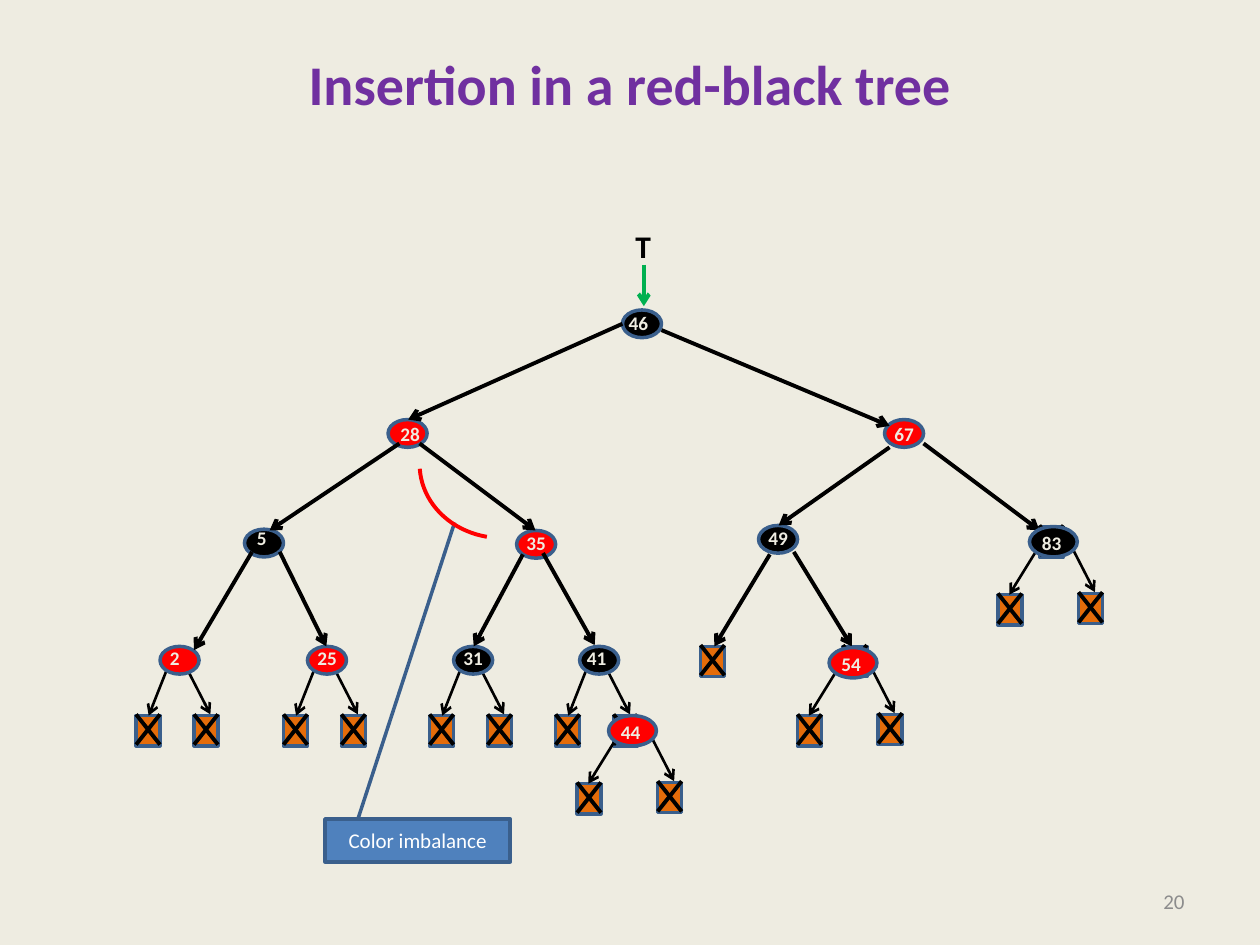
from lxml.etree import SubElement
from pptx import Presentation
from pptx.dml.color import RGBColor
from pptx.enum.shapes import MSO_CONNECTOR as Connector, MSO_SHAPE as Shape
from pptx.enum.text import MSO_ANCHOR as Anchor, MSO_AUTO_SIZE as AutoSize, PP_ALIGN as Align
from pptx.oxml.ns import qn
from pptx.util import Inches, Pt

COLORS = {
    "background": "EEECE1", "title": "7030A0", "number": "8C8C8C",
    "black": "000000", "red": "FF0000", "leaf": "E46C0A", "outline": "3A5F8C",
    "label": "EEECE1", "pointer": "00B050", "callout": "4F81BD", "white": "FFFFFF",
}
SMALL, LARGE, LEAF = (0.31, 0.22), (0.38, 0.24), (0.19, 0.24)

NODES = [
    ("46", "black", 3.94, 0.96, -0.05, -0.04),
    ("67", "red", 6.02, 1.83, -0.02, -0.03),
    ("5", "black", 0.94, 2.70, 0, -0.07),
    ("49", "black", 5.02, 2.67, -0.02, -0.04),
    ("35", "red", 3.10, 2.71, -0.02, -0.04),
    ("28", "red", 2.08, 1.83, 0, -0.03),
    ("2", "red", 0.27, 3.63, -0.02, -0.05),
    ("25", "red", 1.44, 3.63, -0.02, -0.05),
    ("31", "black", 2.60, 3.63, -0.02, -0.05),
    ("41", "black", 3.60, 3.63, -0.04, -0.05),
]
EDGES = [
    (3.94, 1.07, 2.24, 1.83), (2.17, 2.02, 1.14, 2.71),
    (3.15, 2.90, 2.76, 3.63), (1.00, 2.88, 0.54, 3.66),
    (5.11, 2.90, 4.67, 3.63), (6.06, 2.05, 5.18, 2.67),
    (2.33, 2.02, 3.25, 2.71), (6.33, 2.02, 7.25, 2.71),
    (1.22, 2.88, 1.59, 3.63), (3.31, 2.89, 3.72, 3.62),
    (5.30, 2.88, 5.76, 3.63), (4.25, 1.12, 6.06, 1.88),
]
LARGE_NODES = [
    ("83", "black", 7.17, 2.68),
    ("54", "red", 5.58, 3.64),
    ("44", "red", 3.83, 4.18),
]
SINGLE_LEAVES = [(4.56, 3.63), (5.69, 3.63), (7.25, 2.68)]
SMALL_ARMS = [
    ((-0.19, 0.55), (0.06, 0.17, -0.09, 0.55)),
    ((0.27, 0.55), (0.21, 0.17, 0.40, 0.54)),
]
LARGE_ARMS = [
    ((-0.25, 0.54), (0.05, 0.20, -0.16, 0.54)),
    ((0.39, 0.53), (0.33, 0.15, 0.52, 0.52)),
]


def rgb(name):
    return RGBColor.from_string(COLORS[name])


def set_values(target, values):
    for name, value in values.items():
        setattr(target, name, value)


def write(frame, text, size, color, bold=False, align=Align.LEFT, **frame_values):
    set_values(frame, {"word_wrap": True, **frame_values})
    para = frame.paragraphs[0]
    para.alignment = align
    span = para.add_run()
    span.text = text
    set_values(span.font, {"name": "Calibri", "size": Pt(size), "bold": bold})
    span.font.color.rgb = rgb(color)


def add_text(shapes, box, text, size, color, **values):
    label = shapes.add_textbox(*map(Inches, box))
    write(label.text_frame, text, size, color, **values)


def set_line(line, color, width):
    line.color.rgb = rgb(color)
    line.width = Pt(width)


def add_shape(shapes, kind, box, fill):
    shape = shapes.add_shape(kind, *map(Inches, box))
    shape.shadow.inherit = False
    shape.fill.solid()
    shape.fill.fore_color.rgb = rgb(fill)
    set_line(shape.line, "outline", 2)
    return shape


def add_line(shapes, ends, color="black", width=2.25, arrow=True):
    connector = shapes.add_connector(Connector.STRAIGHT, *map(Inches, ends))
    set_line(connector.line, color, width)
    if arrow:
        SubElement(connector.line._get_or_add_ln(), qn("a:tailEnd"), type="arrow")
    SubElement(connector._element.spPr, qn("a:effectLst"))


def add_leaf(shapes, x, y):
    add_shape(shapes, Shape.RECTANGLE, (x, y, *LEAF), "leaf")
    top, bottom, right = y - 0.01, y + 0.23, x + 0.19
    add_line(shapes, (right, top, x, bottom), arrow=False)
    add_line(shapes, (x, top, right, bottom), arrow=False)


def add_leaf_pair(shapes, x, y, arms):
    for (leaf_x, leaf_y), (x1, y1, x2, y2) in arms:
        add_leaf(shapes, x + leaf_x, y + leaf_y)
        add_line(shapes, (x + x1, y + y1, x + x2, y + y2), width=1.5)


def add_key(shapes, x, y, width, text, wrap):
    add_text(shapes, (x, y, width, 0.29), text, 11, "label", bold=True,
             word_wrap=wrap, auto_size=AutoSize.SHAPE_TO_FIT_TEXT)


def add_heading(page, box):
    add_text(page.shapes, box, "Insertion in a red-black tree", 32, "title", bold=True,
             align=Align.CENTER, vertical_anchor=Anchor.TOP, margin_top=Inches(0.09))


def add_tree(page, left, top):
    shapes = page.shapes.add_group_shape().shapes
    nodes = [(text, color, left + x, top + y, dx, dy) for text, color, x, y, dx, dy in NODES]
    for _, _, x, y, _, _ in nodes[-4:]:
        add_leaf_pair(shapes, x, y, SMALL_ARMS)
    for x, y in SINGLE_LEAVES:
        add_leaf(shapes, left + x, top + y)
    for _, color, x, y, _, _ in nodes:
        add_shape(shapes, Shape.OVAL, (x, y, *SMALL), color)
    for x1, y1, x2, y2 in EDGES:
        add_line(shapes, (left + x1, top + y1, left + x2, top + y2))
    add_line(shapes, (left + 4.11, top + 0.6, left + 4.11, top + 0.93), "pointer")
    add_text(shapes, (left + 3.83, top + 0.25, 0.55, 0.4), "T", 18, "black",
             bold=True, align=Align.CENTER, auto_size=AutoSize.SHAPE_TO_FIT_TEXT)
    for text, _, x, y, dx, dy in nodes:
        add_key(shapes, x + dx, y + dy, 0.2 + 0.08 * len(text), text, False)
    for text, color, x, y in LARGE_NODES:
        x, y = left + x, top + y
        add_leaf_pair(shapes, x, y, LARGE_ARMS)
        add_shape(shapes, Shape.OVAL, (x, y, *LARGE), color)
        add_key(shapes, x, y - 0.01, 0.43, text, True)


def add_imbalance_note(page, left, top):
    shapes = page.shapes.add_group_shape().shapes
    callout = add_shape(shapes, Shape.LINE_CALLOUT_1, (left, top + 3.42, 1.47, 0.34), "callout")
    for index, value in enumerate((-0.03, 0.18, -6.92, 0.7)):
        callout.adjustments[index] = value
    write(callout.text_frame, "Color imbalance", 12, "white",
          align=Align.CENTER, vertical_anchor=Anchor.MIDDLE)
    arc = add_shape(shapes, Shape.ARC, (left + 0.75, top, 1.33, 1.19), "red")
    arc.fill.background()
    set_line(arc.line, "red", 2.25)
    arc.rotation = 176.1
    arc.adjustments[0] = 171.89
    arc.adjustments[1] = 0


def add_page_number(page, box):
    add_text(page.shapes, box, "20", 12, "number",
             align=Align.RIGHT, vertical_anchor=Anchor.MIDDLE)


def main():
    deck = Presentation()
    set_values(deck, {"slide_width": Inches(10), "slide_height": Inches(7.5)})
    page = deck.slides.add_slide(deck.slide_layouts[6])
    page.background.fill.solid()
    page.background.fill.fore_color.rgb = rgb("background")
    add_heading(page, (0.5, 0.3, 9, 1.25))
    add_page_number(page, (7.17, 6.95, 2.33, 0.4))
    add_tree(page, 1, 1.5)
    add_imbalance_note(page, 2.58, 3.08)
    deck.save("out.pptx")


if __name__ == "__main__":
    main()
